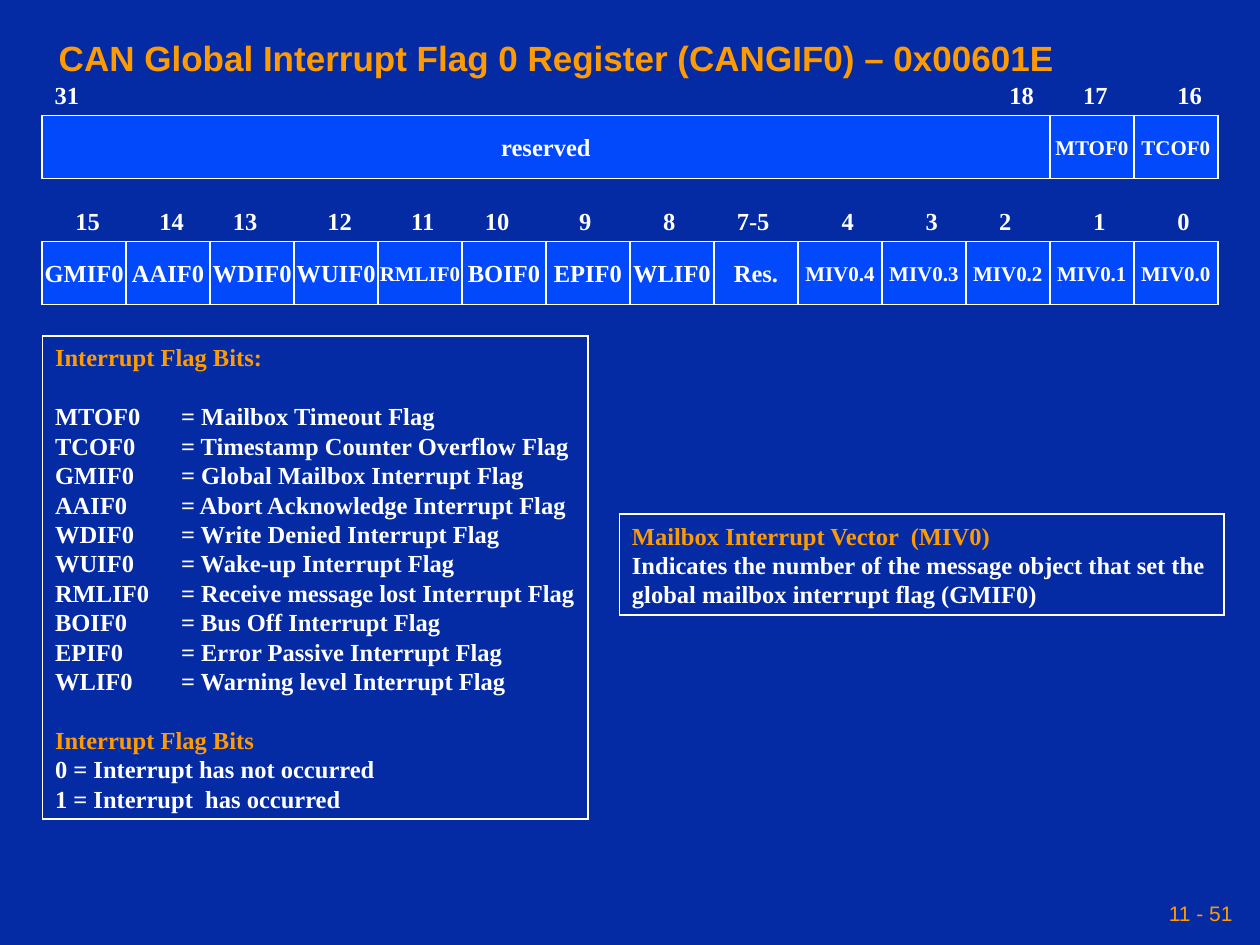
"""Build the slide on the CAN Global Interrupt Flag 0 Register."""
import pptx
import pptx.dml.color
import pptx.enum.shapes
import pptx.enum.text
import pptx.oxml
import pptx.oxml.ns
import pptx.util

Cm = pptx.util.Cm
Pt = pptx.util.Pt
ALIGN = pptx.enum.text.PP_ALIGN
ANCHOR = pptx.enum.text.MSO_ANCHOR
FIT = pptx.enum.text.MSO_AUTO_SIZE
NAVY = pptx.dml.color.RGBColor(0x04, 0x2A, 0xA4)
BLUE = pptx.dml.color.RGBColor(0x02, 0x49, 0xFC)
ORANGE = pptx.dml.color.RGBColor(0xFE, 0x9B, 0x03)
WHITE = pptx.dml.color.RGBColor(0xFF, 0xFF, 0xFF)
SERIF = "Times New Roman"
SANS = "Arial"
REGISTER_LEFT = 0.85
BIT_WIDTH = 23.7 / 14
NUDGE = 0.21
GAP = Pt(16.8)


def write(paragraph, text, size, color=WHITE, face=SERIF, bold=True, align=ALIGN.LEFT):
    paragraph.alignment = align
    run = paragraph.add_run()
    run.text = text
    run.font.size = Pt(size)
    run.font.name = face
    run.font.bold = bold
    run.font.color.rgb = color


def add_box(left, top, width, height, fill=None):
    box = slide.shapes.add_shape(
        pptx.enum.shapes.MSO_SHAPE.RECTANGLE, Cm(left), Cm(top), Cm(width), Cm(height))
    box.shadow.inherit = False
    box.line.color.rgb = WHITE
    box.line.width = Pt(1)
    box.line._get_or_add_ln().append(pptx.oxml.parse_xml(
        f'<a:miter {pptx.oxml.ns.nsdecls("a")} lim="800000"/>'))
    if fill is None:
        box.fill.background()
    else:
        box.fill.solid()
        box.fill.fore_color.rgb = fill
    box.text_frame.word_wrap = False
    return box.text_frame


deck = pptx.Presentation()
deck.slide_width = Cm(25.4)
deck.slide_height = Cm(19.05)
slide = deck.slides.add_slide(deck.slide_layouts[5])
slide.background.fill.solid()
slide.background.fill.fore_color.rgb = NAVY

title = slide.shapes.title
title.left, title.top, title.width, title.height = Cm(0.93), Cm(0.6), Cm(23.8), Cm(1.09)
title.text_frame.vertical_anchor = ANCHOR.TOP
title.text_frame.auto_size = FIT.NONE
write(title.text_frame.paragraphs[0],
      "CAN Global Interrupt Flag 0 Register (CANGIF0) – 0x00601E", 20, ORANGE, SANS)

fields = [
    (2.33, [("reserved", 0, 12, 14), ("MTOF0", 12, 1, 12), ("TCOF0", 13, 1, 12)]),
    (4.87, [(name, bit, 1, 12 if name.startswith(("MIV", "RML")) else 14)
            for bit, name in enumerate([
                "GMIF0", "AAIF0", "WDIF0", "WUIF0", "RMLIF0", "BOIF0", "EPIF0",
                "WLIF0", "Res.", "MIV0.4", "MIV0.3", "MIV0.2", "MIV0.1", "MIV0.0"])]),
]
for top, row in fields:
    for name, bit, span, size in row:
        field = add_box(REGISTER_LEFT + bit * BIT_WIDTH, top, span * BIT_WIDTH, 1.27, BLUE)
        field.vertical_anchor = ANCHOR.MIDDLE
        write(field.paragraphs[0], name, size, align=ALIGN.CENTER)

bit_numbers = [
    (1.48, [("31", 0, 0), ("18", 11, 3), ("17", 12, 2), ("16", 13, 3)]),
    (4.02, [("15", 0, 2), ("14", 1, 2), ("13", 2, 1), ("12", 3, 2), ("11", 4, 2),
            ("10", 5, 1), ("9", 6, 2), ("8", 7, 2), ("7-5", 8, 1), ("4", 9, 3),
            ("3", 10, 3), ("2", 11, 2), ("1", 12, 3), ("0", 13, 3)]),
]
label_widths = {1: 0.77, 2: 1.02, 3: 1.19}
for top, row in bit_numbers:
    for number, bit, nudges in row:
        left = REGISTER_LEFT + bit * BIT_WIDTH + nudges * NUDGE
        label = slide.shapes.add_textbox(
            Cm(left), Cm(top), Cm(label_widths[len(number)]), Cm(0.86))
        label.text_frame.word_wrap = False
        label.text_frame.auto_size = FIT.SHAPE_TO_FIT_TEXT
        write(label.text_frame.paragraphs[0], number, 14)

flag_meanings = [
    ("MTOF0", "Mailbox Timeout Flag"),
    ("TCOF0", "Timestamp Counter Overflow Flag"),
    ("GMIF0", "Global Mailbox Interrupt Flag"),
    ("AAIF0", "Abort Acknowledge Interrupt Flag"),
    ("WDIF0", "Write Denied Interrupt Flag"),
    ("WUIF0", "Wake-up Interrupt Flag"),
    ("RMLIF0", "Receive message lost Interrupt Flag"),
    ("BOIF0", "Bus Off Interrupt Flag"),
    ("EPIF0", "Error Passive Interrupt Flag"),
    ("WLIF0", "Warning level Interrupt Flag"),
]
flag_lines = [("Interrupt Flag Bits:", ORANGE, False)]
flag_lines += [(f"{flag}\t= {meaning}", WHITE, flag == "MTOF0") for flag, meaning in flag_meanings]
flag_lines += [
    ("Interrupt Flag Bits", ORANGE, True),
    ("0 = Interrupt has not occurred", WHITE, False),
    ("1 = Interrupt  has occurred", WHITE, False),
]
vector_lines = [
    ("Mailbox Interrupt Vector  (MIV0)", ORANGE, False),
    ("Indicates the number of the message object that set the", WHITE, False),
    ("global mailbox interrupt flag (GMIF0)", WHITE, False),
]
explanations = [
    ((12.49, 10.37, 12.19, 2.03), vector_lines),
    ((0.86, 6.78, 10.99, 9.73), flag_lines),
]
for place, lines in explanations:
    explanation = add_box(*place)
    explanation.vertical_anchor = ANCHOR.TOP
    for index, (text, color, gap_before) in enumerate(lines):
        paragraph = explanation.add_paragraph() if index else explanation.paragraphs[0]
        if "\t" in text:
            tab_stops = pptx.oxml.parse_xml(
                f'<a:tabLst {pptx.oxml.ns.nsdecls("a")}>'
                f'<a:tab pos="{Cm(2.54)}" algn="l"/></a:tabLst>')
            paragraph._p.get_or_add_pPr().append(tab_stops)
        if gap_before:
            paragraph.space_before = GAP
        write(paragraph, text, 14, color)

page_number = slide.shapes.add_textbox(Cm(17.36), Cm(17.98), Cm(7.62), Cm(0.84)).text_frame
page_number.word_wrap = False
page_number.vertical_anchor = ANCHOR.MIDDLE
page_number.margin_left = page_number.margin_right = Cm(0.13)
write(page_number.paragraphs[0], "11 - 51", 12, ORANGE, SANS, False, ALIGN.RIGHT)

deck.save("out.pptx")
